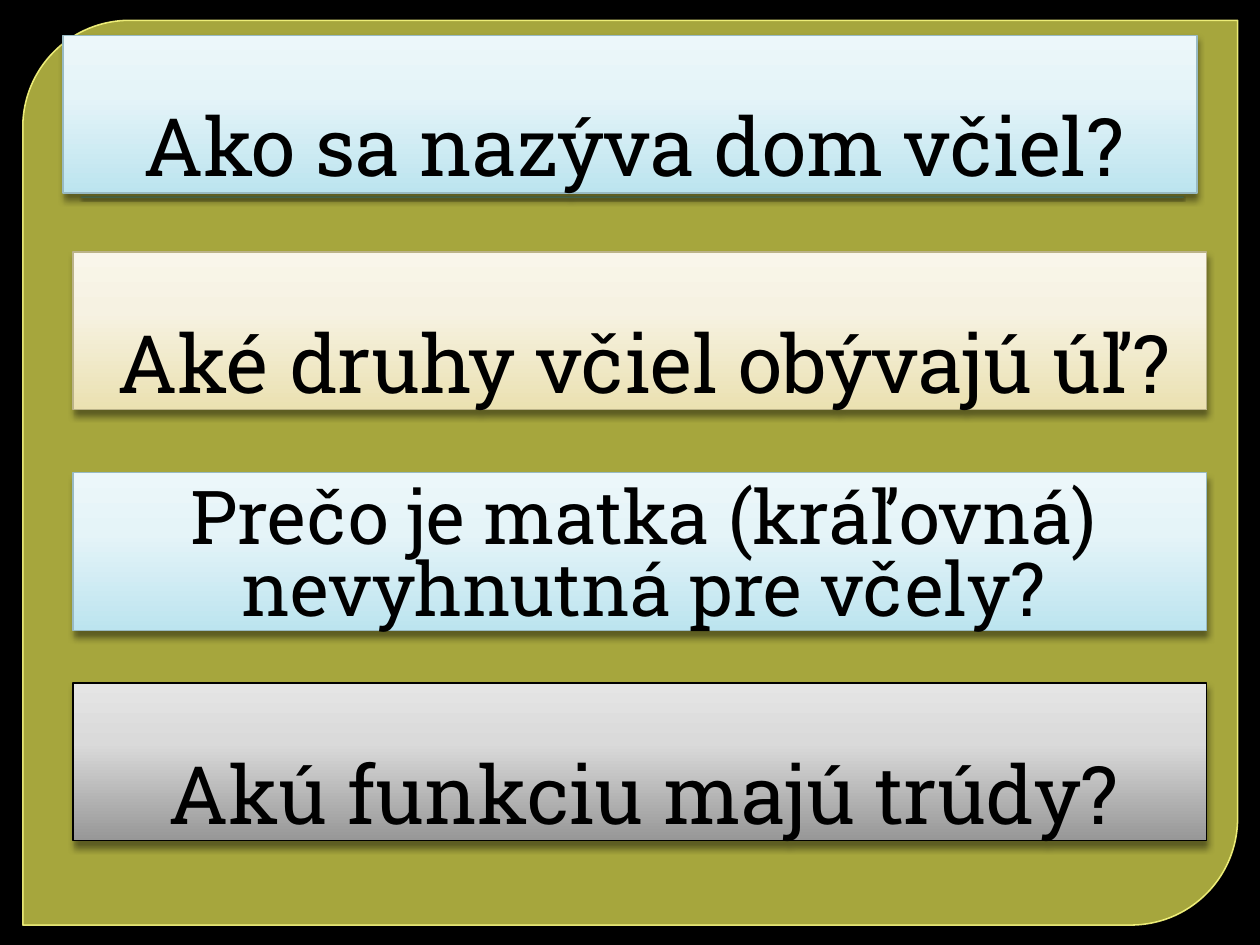
from copy import deepcopy

from lxml import etree
from pptx import Presentation
from pptx.dml.color import RGBColor
from pptx.enum.shapes import MSO_SHAPE
from pptx.enum.text import MSO_ANCHOR, PP_ALIGN
from pptx.oxml.ns import qn
from pptx.util import Cm, Pt

RECTANGLE = MSO_SHAPE.RECTANGLE
DIAGONAL_ROUNDED = MSO_SHAPE.ROUND_2_DIAG_RECTANGLE
BOTTOM = MSO_ANCHOR.BOTTOM
CENTER = PP_ALIGN.CENTER

# Content: question, left and top in cm, palette, size, line spacing
FONT = "Roboto Slab"
QUESTIONS = [
    ("Ako sa nazýva dom včiel?", 1.27, 0.71, "blue", 46, None),
    ("Aké druhy včiel obývajú úľ?", 1.47, 5.08, "sand", 46, None),
    ("Prečo je matka (kráľovná) nevyhnutná pre včely?", 1.47, 9.53, "blue", 42.5, 0.8),
    ("Akú funkciu majú trúdy?", 1.47, 13.77, "gray", 46, None),
]
# Gradient colours from bottom to top, then the outline
PALETTES = {
    "blue": (("BCE4EF", "E5F4F8", "ECF7FA"), "98BAC3"),
    "sand": (("EBE1B1", "F6F2E2", "F9F6EA"), "BBB389"),
    "gray": (("979797", "DADADA", "E5E5E5"), "000000"),
}
STOPS = (0, 0.62, 1)
CARD_WIDTH, CARD_HEIGHT = 22.86, 3.18


def color(hex_string):
    return RGBColor.from_string(hex_string)


def add_shape(page, kind, left, top, width, height):
    shape = page.shapes.add_shape(kind, Cm(left), Cm(top), Cm(width), Cm(height))
    shape.shadow.inherit = False
    return shape


def set_alpha(fill_parent, percent):
    rgb = fill_parent.find(f"{qn('a:solidFill')}/{qn('a:srgbClr')}")
    etree.SubElement(rgb, qn("a:alpha"), val=str(percent * 1000))


def add_shadow(shape, alpha, blur, distance):
    effects = shape._element.spPr.find(qn("a:effectLst"))
    shadow = etree.SubElement(
        effects, qn("a:outerShdw"), blurRad=str(Pt(blur)), dist=str(Pt(distance)),
        dir="5400000", algn="ctr", rotWithShape="0")
    black = etree.SubElement(shadow, qn("a:srgbClr"), val="000000")
    etree.SubElement(black, qn("a:alpha"), val=str(alpha * 1000))


def fill_gradient(shape, colors):
    shape.fill.gradient()
    shape.fill.gradient_angle = 90
    stop_list = shape._element.spPr.find(f"{qn('a:gradFill')}/{qn('a:gsLst')}")
    stop_list.append(deepcopy(stop_list[-1]))
    for stop, position, hex_string in zip(shape.fill.gradient_stops, STOPS, colors):
        stop.position = position
        stop.color.rgb = color(hex_string)


def add_card(page, text, left, top, palette, size, spacing):
    colors, outline = PALETTES[palette]
    card = add_shape(page, RECTANGLE, left, top, CARD_WIDTH, CARD_HEIGHT)
    fill_gradient(card, colors)
    card.line.color.rgb = color(outline)
    card.line.width = Pt(0.75)
    add_shadow(card, 43, 4, 3)

    frame = card.text_frame
    frame.text = text
    frame.word_wrap = True
    frame.vertical_anchor = BOTTOM
    frame.margin_top = frame.margin_bottom = 0
    para = frame.paragraphs[0]
    para.alignment = CENTER
    para._p.get_or_add_pPr().set("marL", str(Cm(0.15)))
    if spacing:
        para.line_spacing = spacing
    font = para.runs[0].font
    font.name = FONT
    font.size = Pt(size)
    font.color.rgb = color("000000")


deck = Presentation()
deck.slide_width, deck.slide_height = Cm(25.4), Cm(19.05)
page = deck.slides.add_slide(deck.slide_layouts[6])
page.background.fill.solid()
page.background.fill.fore_color.rgb = color("000000")

# Olive panel
panel = add_shape(page, DIAGONAL_ROUNDED, 0.46, 0.41, 24.49, 18.24)
panel.adjustments[0] = 0.118
panel.adjustments[1] = 0
panel.fill.solid()
panel.fill.fore_color.rgb = color("FFFF5F")
set_alpha(panel._element.spPr, 65)
panel.line.color.rgb = color("FFFF84")
panel.line.width = Pt(0.87)
set_alpha(panel._element.spPr.find(qn("a:ln")), 88)

# Thin rule under the title
rule = add_shape(page, RECTANGLE, 1.63, 3.96, 22.23, 0.03)
rule.fill.solid()
rule.fill.fore_color.rgb = color("72A376")
rule.line.fill.background()
add_shadow(rule, 75, 1, 1)

# Question cards
for question in QUESTIONS:
    add_card(page, *question)

deck.save("out.pptx")
